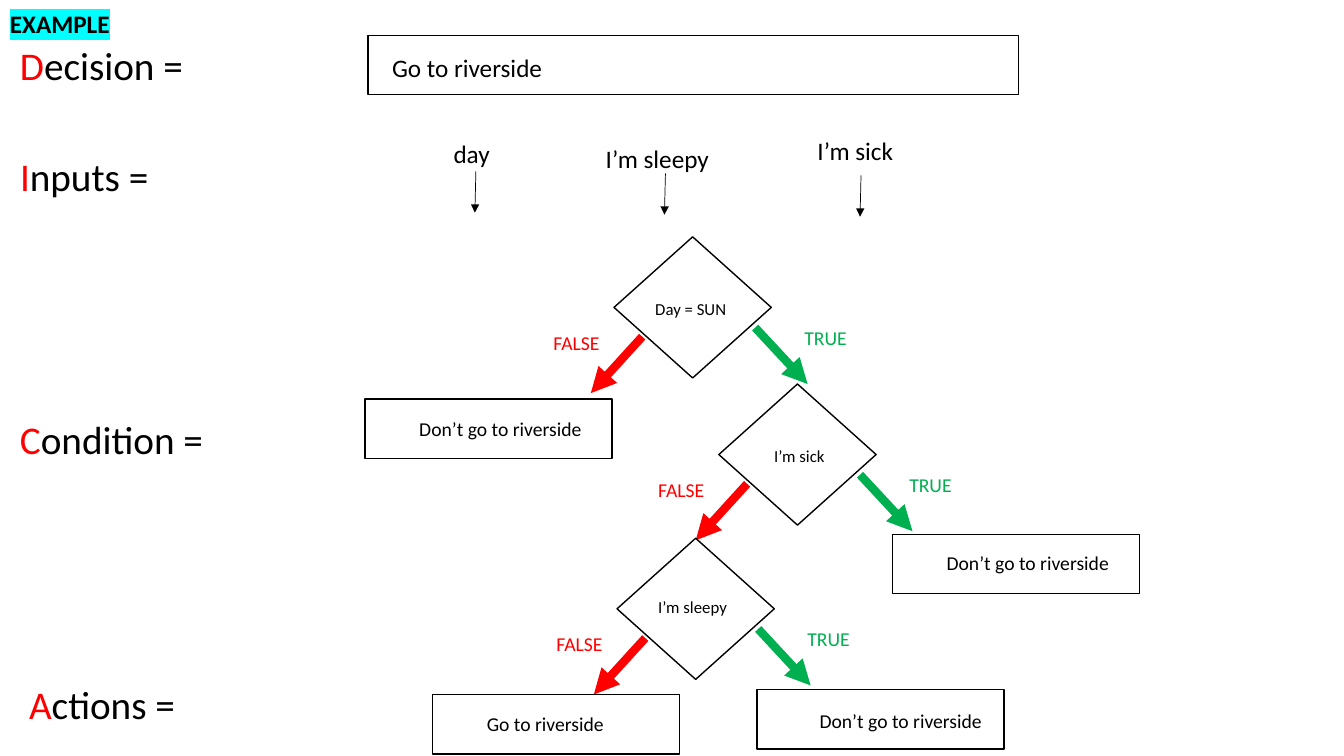
from lxml.etree import SubElement
from pptx import Presentation
from pptx.dml.color import RGBColor
from pptx.enum.shapes import MSO_CONNECTOR, MSO_SHAPE
from pptx.enum.text import MSO_AUTO_SIZE
from pptx.oxml.ns import qn
from pptx.util import Emu, Pt

PX = 9144  # 100 px to the inch
FONT = "Calibri"
BLACK = RGBColor(0x00, 0x00, 0x00)
WHITE = RGBColor(0xFF, 0xFF, 0xFF)
RED = RGBColor(0xFF, 0x00, 0x00)
GREEN = RGBColor(0x00, 0xB0, 0x50)
CYAN = RGBColor(0x00, 0xFF, 0xFF)

LINE_HEIGHT = {28: 57, 18: 40, 14: 34, 12: 30}  # box height for each text size
OUTCOME_SIZE = (245, 59)
DIAMOND_SIZE = (156, 140)


def px(*lengths):
    return [Emu(length * PX) for length in lengths]


def add_label(slide, left, top, width, size, *parts, bold=None, highlight=None):
    """Write one line of text; each part is (wording, colour)."""
    label = slide.shapes.add_textbox(*px(left, top, width, LINE_HEIGHT[size]))
    frame = label.text_frame
    frame.word_wrap = False
    frame.auto_size = MSO_AUTO_SIZE.SHAPE_TO_FIT_TEXT
    for wording, colour in parts:
        run = frame.paragraphs[0].add_run()
        run.text = wording
        run.font.name = FONT
        run.font.size = Pt(size)
        run.font.bold = bold
        run.font.color.rgb = colour
        if highlight is not None:
            properties = run.font._element
            marker = SubElement(properties, qn("a:highlight"))
            SubElement(marker, qn("a:srgbClr"), val=str(highlight))
            properties.find(qn("a:solidFill")).addnext(marker)


def add_outline(slide, preset, left, top, size):
    outline = slide.shapes.add_shape(preset, *px(left, top, *size))
    outline.shadow.inherit = False
    outline.fill.solid()
    outline.fill.fore_color.rgb = WHITE
    outline.line.color.rgb = BLACK
    outline.line.width = Pt(1)


def add_arrow(slide, start, end, colour, weight):
    arrow = slide.shapes.add_connector(MSO_CONNECTOR.STRAIGHT, *px(*start, *end))
    arrow.line.color.rgb = colour
    arrow.line.width = Pt(weight)
    SubElement(arrow.line._get_or_add_ln(), qn("a:tailEnd"), type="triangle")
    SubElement(arrow._element.spPr, qn("a:effectLst"))


def add_heading(slide, left, top, width, initial, rest):
    add_label(slide, left, top, width, 28, (initial, RED), (rest, BLACK))


def add_input(slide, left, top, width, wording, arrow_x, arrow_y):
    add_label(slide, left, top, width, 18, (wording, BLACK))
    add_arrow(slide, (arrow_x, arrow_y), (arrow_x - 1, arrow_y + 41), BLACK, 0.5)


def add_condition(slide, left, top, wording, text_left, text_top, text_width):
    """Draw a diamond with its FALSE and TRUE branches."""
    add_outline(slide, MSO_SHAPE.DIAMOND, left, top, DIAMOND_SIZE)
    add_label(slide, text_left, text_top, text_width, 12, (wording, BLACK))
    add_arrow(slide, (left + 28, top + 99), (left - 23, top + 155), RED, 6)
    add_arrow(slide, (left + 140, top + 90), (left + 192, top + 146), GREEN, 6)
    add_label(slide, left - 70, top + 88, 66, 14, ("FALSE", RED))
    add_label(slide, left + 179, top + 83, 63, 14, ("TRUE", GREEN))


def add_outcome(slide, left, top, wording, text_left, text_top, text_width):
    add_outline(slide, MSO_SHAPE.RECTANGLE, left, top, OUTCOME_SIZE)
    add_label(slide, text_left, text_top, text_width, 14, (wording, BLACK))


def main():
    presentation = Presentation()
    presentation.slide_width, presentation.slide_height = px(1333, 750)
    slide = presentation.slides.add_slide(presentation.slide_layouts[6])

    # Headings down the left side
    add_label(slide, 0, 3, 120, 18, ("EXAMPLE", BLACK), bold=True, highlight=CYAN)
    add_heading(slide, 10, 36, 193, "D", "ecision =")
    add_heading(slide, 10, 146, 158, "I", "nputs =")
    add_heading(slide, 10, 407, 213, "C", "ondition =")
    add_heading(slide, 19, 670, 176, "A", "ctions =")

    # Decision
    add_outline(slide, MSO_SHAPE.RECTANGLE, 365, 35, (645, 59))
    add_label(slide, 379, 47, 171, 18, ("Go to riverside", BLACK))

    # Inputs
    add_input(slide, 440, 132, 57, "day", 472, 170)
    add_input(slide, 591, 137, 124, "I’m sleepy", 660, 172)
    add_input(slide, 801, 129, 96, "I’m sick", 854, 174)

    # Conditions
    add_condition(slide, 609, 235, "Day = SUN", 640, 291, 91)
    add_condition(slide, 713, 381, "I’m sick", 758, 437, 71)
    add_condition(slide, 612, 534, "I’m sleepy", 643, 587, 89)

    # Outcomes and actions
    add_outcome(slide, 362, 396, "Don’t go to riverside", 406, 409, 183)
    add_outcome(slide, 885, 530, "Don’t go to riverside", 929, 542, 183)
    add_outcome(slide, 429, 689, "Go to riverside", 473, 701, 137)
    add_outcome(slide, 751, 684, "Don’t go to riverside", 803, 698, 183)

    presentation.save("out.pptx")


if __name__ == "__main__":
    main()
